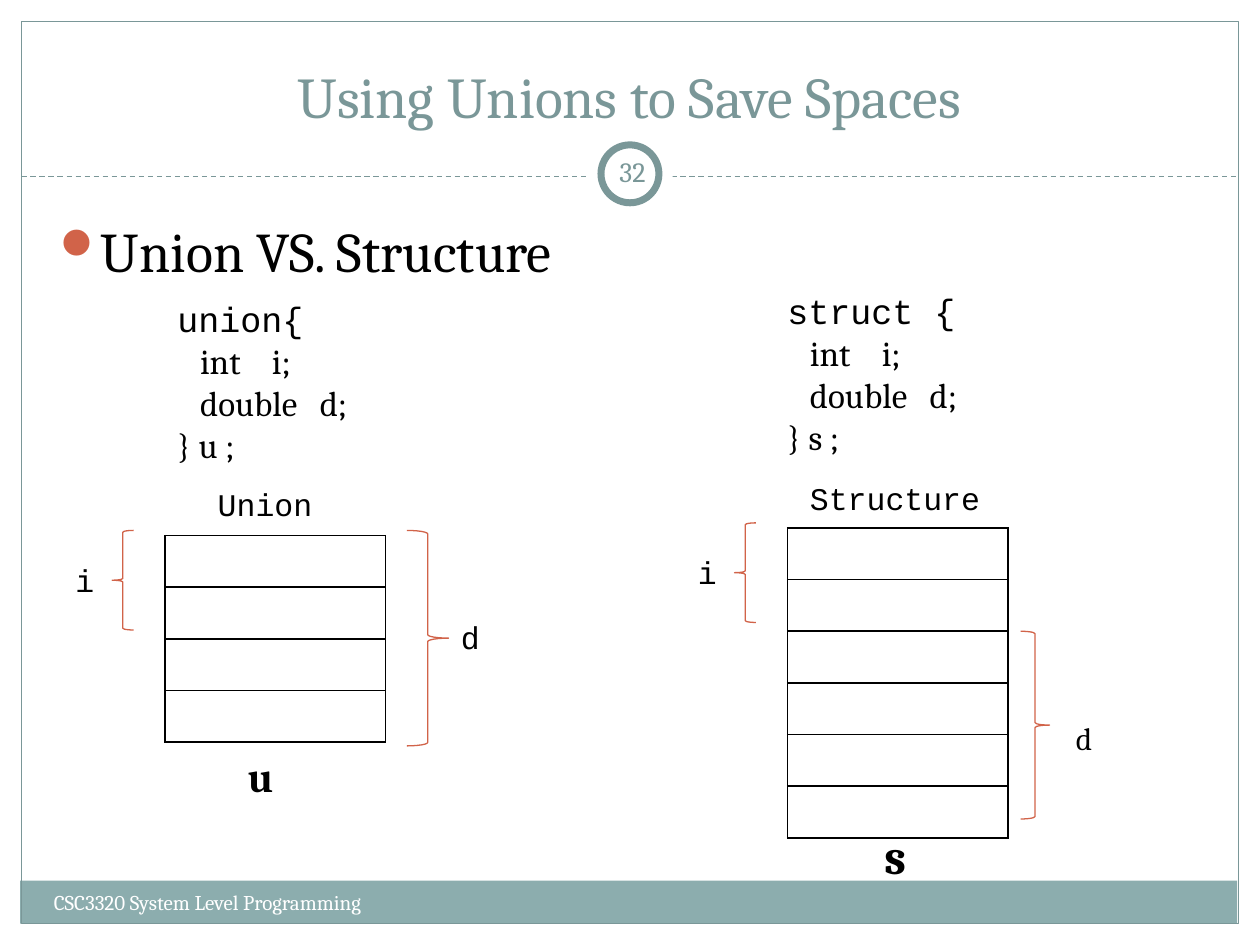
"""Build a slide comparing the memory layout of a union and a structure."""
from lxml import etree
from pptx import Presentation
from pptx.dml.color import RGBColor
from pptx.enum.dml import MSO_LINE
from pptx.enum.shapes import MSO_CONNECTOR, MSO_SHAPE
from pptx.enum.text import MSO_ANCHOR, PP_ALIGN
from pptx.oxml.ns import qn
from pptx.util import Inches, Pt

RECTANGLE, OVAL = MSO_SHAPE.RECTANGLE, MSO_SHAPE.OVAL
LEFT_BRACE, RIGHT_BRACE = MSO_SHAPE.LEFT_BRACE, MSO_SHAPE.RIGHT_BRACE
STRAIGHT, DASH = MSO_CONNECTOR.STRAIGHT, MSO_LINE.DASH
CENTER, JUSTIFY = PP_ALIGN.CENTER, PP_ALIGN.JUSTIFY
TOP, MIDDLE, BOTTOM = MSO_ANCHOR.TOP, MSO_ANCHOR.MIDDLE, MSO_ANCHOR.BOTTOM

WHITE = RGBColor(0xFF, 0xFF, 0xFF)
BLACK = RGBColor(0, 0, 0)
TEAL = RGBColor(0x7A, 0x97, 0x98)
BAND = RGBColor(0x8C, 0xAD, 0xAE)
ORANGE = RGBColor(0xD1, 0x63, 0x49)
SERIF, MONO = "Cambria", "Courier New"
CELL_WIDTH, CELL_HEIGHT = 1.75, 0.41


def style(paragraph, size, font=SERIF, color=BLACK, bold=False):
    """Set the font of a whole paragraph."""
    paragraph.font.size = Pt(size)
    paragraph.font.name = font
    paragraph.font.color.rgb = color
    paragraph.font.bold = bold


def add_label(slide, box, text, size, font=SERIF, color=BLACK, bold=False, align=None):
    """Add a one-paragraph text box and return it."""
    label = slide.shapes.add_textbox(*map(Inches, box))
    label.text_frame.word_wrap = True
    paragraph = label.text_frame.paragraphs[0]
    paragraph.text = text
    paragraph.alignment = align
    style(paragraph, size, font, color, bold)
    return label


def add_outline(slide, kind, box, fill=None, line=None, width=0.75):
    """Add a preset shape with an optional fill and line."""
    shape = slide.shapes.add_shape(kind, *map(Inches, box))
    shape.shadow.inherit = False
    if fill is None:
        shape.fill.background()
    else:
        shape.fill.solid()
        shape.fill.fore_color.rgb = fill
    if line is None:
        shape.line.fill.background()
    else:
        shape.line.color.rgb = line
        shape.line.width = Pt(width)


def add_frame(slide):
    """Draw the border, footer band, divider and number ring."""
    add_outline(slide, RECTANGLE, (0.16, 6.99, 9.66, 0.34), fill=BAND)
    add_outline(slide, RECTANGLE, (0.17, 0.17, 9.66, 7.16), line=TEAL)
    divider = slide.shapes.add_connector(
        STRAIGHT, Inches(0.17), Inches(1.4), Inches(9.83), Inches(1.4))
    divider.line.color.rgb = TEAL
    divider.line.width = Pt(0.75)
    divider.line.dash_style = DASH
    etree.SubElement(divider._element.spPr, qn("a:effectLst"))
    add_outline(slide, OVAL, (4.67, 1.05, 0.67, 0.67), fill=WHITE)
    add_outline(slide, OVAL, (4.77, 1.15, 0.46, 0.46), fill=WHITE, line=TEAL, width=4)
    add_label(slide, (0.33, 7.01, 3.92, 0.4), "CSC3320 System Level Programming", 12, color=WHITE)
    number = add_label(slide, (4.77, 1.12, 0.5, 0.48), "32", 16, color=TEAL, align=CENTER)
    number.text_frame.vertical_anchor = MIDDLE
    number.text_frame.margin_left = number.text_frame.margin_right = Inches(0.05)


def set_title(slide, text):
    """Place and format the title placeholder."""
    title = slide.shapes.title
    title.left, title.top, title.width, title.height = map(Inches, (0.33, 0.25, 9.33, 0.83))
    title.text_frame.text = text
    title.text_frame.vertical_anchor = BOTTOM
    paragraph = title.text_frame.paragraphs[0]
    paragraph.alignment = CENTER
    style(paragraph, 33, color=TEAL)


def add_bullet(slide, text):
    """Add the bulleted statement below the divider."""
    statement = slide.shapes.add_textbox(*map(Inches, (0.33, 1.67, 9.3, 0.64)))
    statement.text_frame.word_wrap = True
    statement.text_frame.vertical_anchor = TOP
    paragraph = statement.text_frame.paragraphs[0]
    paragraph.text = text
    paragraph.alignment = JUSTIFY
    properties = paragraph._p.get_or_add_pPr()
    properties.set("marL", str(Inches(0.3)))
    properties.set("indent", str(-Inches(0.3)))
    color = etree.SubElement(properties, qn("a:buClr"))
    etree.SubElement(color, qn("a:srgbClr"), val=str(ORANGE))
    etree.SubElement(properties, qn("a:buChar"), char="⚫")
    style(paragraph, 32)


def add_code(slide, left, top, keyword, variable):
    """Add a declaration whose members are aligned by tab stops."""
    code = slide.shapes.add_textbox(*map(Inches, (left, top, 2.6, 1.45)))
    frame = code.text_frame
    frame.word_wrap = True
    lines = [(keyword, MONO, ()), ("\tint\ti;", SERIF, (0.18, 0.75)),
             ("\tdouble\td;", SERIF, (0.18, 1.13)), (f"}} {variable} ;", SERIF, ())]
    for index, (text, font, stops) in enumerate(lines):
        paragraph = frame.add_paragraph() if index else frame.paragraphs[0]
        paragraph.text = text
        if stops:
            tabs = etree.SubElement(paragraph._p.get_or_add_pPr(), qn("a:tabLst"))
            for stop in stops:
                etree.SubElement(tabs, qn("a:tab"), pos=str(Inches(stop)), algn="l")
        style(paragraph, 20, font)


def add_memory(slide, left, top, rows):
    """Add a one-column table of bordered, empty memory cells."""
    memory = slide.shapes.add_table(
        rows, 1, Inches(left), Inches(top), Inches(CELL_WIDTH), Inches(CELL_HEIGHT * rows)).table
    memory.first_row = memory.horz_banding = False
    for row in memory.rows:
        row.height = Inches(CELL_HEIGHT)
        cell = row.cells[0]
        for side in ("a:lnL", "a:lnR", "a:lnT", "a:lnB"):
            border = etree.SubElement(cell._tc.get_or_add_tcPr(), qn(side), w=str(Pt(1)))
            fill = etree.SubElement(border, qn("a:solidFill"))
            etree.SubElement(fill, qn("a:srgbClr"), val=str(BLACK))
        cell.fill.background()


def add_layout(slide, left, top, rows, caption, caption_box):
    """Draw captioned memory cells with the brace of member i."""
    add_memory(slide, left, top, rows)
    add_label(slide, caption_box, caption, 18, MONO)
    add_outline(slide, LEFT_BRACE, (left - 0.42, top - 0.04, 0.17, 0.79), line=ORANGE)
    add_label(slide, (left - 0.81, top + 0.15, 0.35, 0.4), "i", 18, MONO)


def main():
    """Build and save the slide."""
    presentation = Presentation()
    presentation.slide_width, presentation.slide_height = Inches(10), Inches(7.5)
    slide = presentation.slides.add_slide(presentation.slide_layouts[5])
    add_frame(slide)
    set_title(slide, "Using Unions to Save Spaces")
    add_bullet(slide, "Union VS. Structure")

    add_code(slide, 1.31, 2.31, "union{", "u")
    add_layout(slide, 1.31, 4.25, 4, "Union", (1.63, 3.8, 0.96, 0.4))
    add_outline(slide, RIGHT_BRACE, (3.23, 4.21, 0.33, 1.71), line=ORANGE)
    add_label(slide, (3.56, 4.86, 0.35, 0.4), "d", 18, MONO)
    add_label(slide, (1.87, 5.91, 0.43, 0.5), "u", 24, bold=True)

    add_code(slide, 6.15, 2.25, "struct {", "s")
    add_layout(slide, 6.25, 4.19, 6, "Structure", (6.33, 3.75, 1.56, 0.4))
    add_outline(slide, RIGHT_BRACE, (8.1, 5.01, 0.23, 1.49), line=ORANGE)
    add_label(slide, (8.44, 5.66, 0.35, 0.4), "d", 18)
    add_label(slide, (6.92, 6.5, 0.4, 0.57), "s", 28, bold=True)
    presentation.save("out.pptx")


if __name__ == "__main__":
    main()
